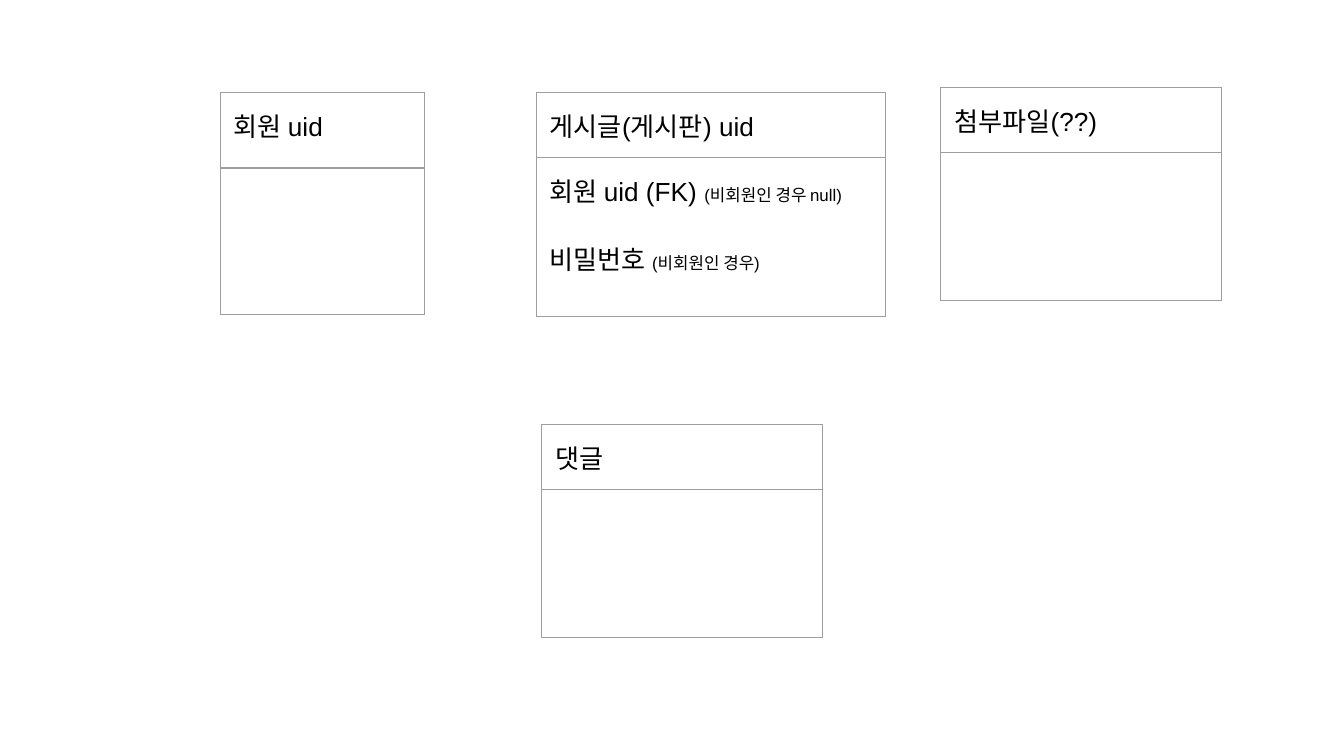
from typing import NamedTuple

from lxml.etree import SubElement
from pptx import Presentation
from pptx.dml.color import RGBColor
from pptx.oxml.ns import qn
from pptx.util import Inches, Pt

FONT = "Arial"
INK, EDGE = "000000", "9E9E9E"
BIG, SMALL = 14, 9
WIDTH = Inches(10)
PAD = Inches(0.1)
MARGINS = {f"margin_{side}": PAD for side in ("left", "right", "top", "bottom")}


class Run(NamedTuple):
    text: str
    size: int = BIG


class Entity(NamedTuple):
    name: str
    left: float
    top: float
    width: float
    heights: tuple[float, float]
    fields: tuple[tuple[Run, ...], ...] = ()


POST_FIELDS = (
    (Run("회원 uid (FK) "), Run("(비회원인 경우 null)", SMALL)),
    (Run("비밀번호 "), Run("(비회원인 경우)", SMALL)),
)
ENTITIES = (
    Entity("회원 uid", 1.64, 0.69, 1.52, (0.56, 1.09)),
    Entity("게시글(게시판) uid", 3.99, 0.69, 2.6, (0.41, 1.18), POST_FIELDS),
    Entity("첨부파일(??)", 7, 0.65, 2.09, (0.4, 1.1)),
    Entity("댓글", 4.03, 3.16, 2.09, (0.4, 1.1)),
)


def color(code: str) -> RGBColor:
    return RGBColor.from_string(code)


def add_edges(cell) -> None:
    props = cell._tc.get_or_add_tcPr()
    for tag in ("a:lnL", "a:lnR", "a:lnT", "a:lnB"):
        line = SubElement(props, qn(tag), w=str(Pt(0.75)))
        fill = SubElement(line, qn("a:solidFill"))
        SubElement(fill, qn("a:srgbClr"), val=EDGE)


def fill_cell(cell, lines: tuple[tuple[Run, ...], ...]) -> None:
    add_edges(cell)
    cell.fill.background()
    for name, value in MARGINS.items():
        setattr(cell, name, value)
    frame = cell.text_frame
    for i, runs in enumerate(lines):
        para = frame.add_paragraph() if i else frame.paragraphs[0]
        if i:
            para.space_before = Pt(16)
        for text, size in runs:
            run = para.add_run()
            run.text = text
            run.font.color.rgb = color(INK)
            for name, value in {"name": FONT, "size": Pt(size)}.items():
                setattr(run.font, name, value)


def draw_entity(slide, item: Entity) -> None:
    box = map(Inches, (item.left, item.top, item.width, sum(item.heights)))
    table = slide.shapes.add_table(2, 1, *box).table
    table.first_row = table.horz_banding = False
    for row, height in zip(table.rows, item.heights):
        row.height = Inches(height)
    fill_cell(table.cell(0, 0), ((Run(item.name),),))
    fill_cell(table.cell(1, 0), item.fields)


def main() -> None:
    deck = Presentation()
    deck.slide_width, deck.slide_height = WIDTH, WIDTH * 9 // 16
    slide = deck.slides.add_slide(deck.slide_layouts[6])
    for item in ENTITIES:
        draw_entity(slide, item)
    deck.save("out.pptx")


if __name__ == "__main__":
    main()
